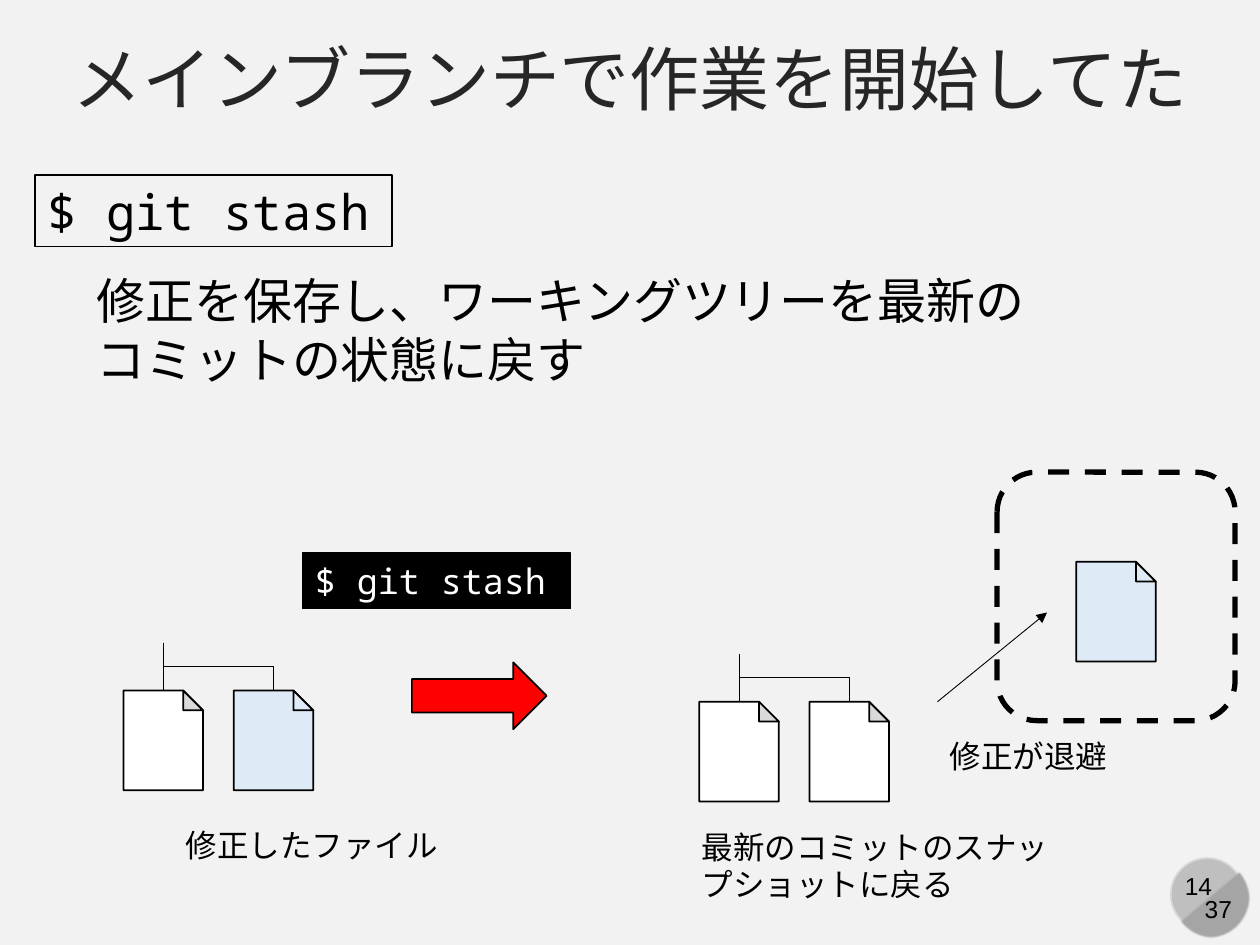
from dataclasses import dataclass

import pptx
import pptx.dml.color
import pptx.enum.dml
import pptx.enum.shapes
import pptx.enum.text
import pptx.oxml
import pptx.oxml.ns
import pptx.util
from lxml import etree

Pt = pptx.util.Pt
SHAPE = pptx.enum.shapes.MSO_SHAPE
CONNECTOR = pptx.enum.shapes.MSO_CONNECTOR
ALIGN = pptx.enum.text.PP_ALIGN
ANCHOR = pptx.enum.text.MSO_ANCHOR


@dataclass(frozen=True)
class Theme:
    background: str = "F2F2F2"
    title: str = "262626"
    ink: str = "000000"
    paper: str = "FFFFFF"
    fold: str = "D9D9D9"
    modified: str = "DEEBF7"
    arrow: str = "FF0000"
    badge: str = "BFBFBF"
    badge_shade: str = "A6A6A6"
    title_size: int = 40
    lead_size: int = 28
    command_size: int = 20
    caption_size: int = 18
    page_size: int = 14
    font: str = "Arial"
    mono: str = "Noto Sans Mono"


THEME = Theme()
FILE_WIDTH, FILE_HEIGHT, FOLD = 45.4, 57, 11.3
BRANCH_HEIGHT = 27.4


def rgb(value):
    return pptx.dml.color.RGBColor.from_string(value)


def add_effects(drawn, *effects):
    """Replace inherited effects with the given (tag, attributes) pairs."""
    effect_list = etree.SubElement(drawn.element.spPr, pptx.oxml.ns.qn("a:effectLst"))
    for tag, attributes in effects:
        etree.SubElement(effect_list, pptx.oxml.ns.qn(tag), attributes)


def add_block(slide, kind, left, top, width, height, fill=None, line=THEME.ink, weight=1):
    block = slide.shapes.add_shape(kind, Pt(left), Pt(top), Pt(width), Pt(height))
    block.shadow.inherit = False
    if fill:
        block.fill.solid()
        block.fill.fore_color.rgb = rgb(fill)
    else:
        block.fill.background()
    if line:
        block.line.color.rgb = rgb(line)
        block.line.width = Pt(weight)
    else:
        block.line.fill.background()
    return block


def write(holder, text, size, color=THEME.ink, font=THEME.font, align=ALIGN.LEFT):
    frame = holder.text_frame
    frame.text = text
    paragraph = frame.paragraphs[0]
    paragraph.alignment = align
    run_font = paragraph.runs[0].font
    run_font.size = Pt(size)
    run_font.name = font
    run_font.color.rgb = rgb(color)


def add_label(slide, text, left, top, width, height, size=THEME.caption_size,
              wrap=True, align=ALIGN.LEFT):
    label = slide.shapes.add_textbox(Pt(left), Pt(top), Pt(width), Pt(height))
    label.text_frame.word_wrap = wrap
    label.text_frame.auto_size = pptx.enum.text.MSO_AUTO_SIZE.SHAPE_TO_FIT_TEXT
    write(label, text, size, align=align)


def add_command(slide, text, left, top, width, height, size, color, fill=None):
    command = add_block(slide, SHAPE.RECTANGLE, left, top, width, height, fill, weight=0.75)
    command.text_frame.word_wrap = True
    command.text_frame.vertical_anchor = ANCHOR.TOP
    write(command, text, size, color, THEME.mono)


def add_line(slide, x1, y1, x2, y2, kind=CONNECTOR.STRAIGHT):
    line = slide.shapes.add_connector(kind, Pt(x1), Pt(y1), Pt(x2), Pt(y2))
    line.line.color.rgb = rgb(THEME.ink)
    line.line.width = Pt(0.5)
    add_effects(line)
    return line


def add_file(slide, left, top, modified=False):
    sheet_fill = THEME.modified if modified else THEME.paper
    fold_fill = THEME.modified if modified else THEME.fold
    sheet = add_block(slide, SHAPE.SNIP_1_RECTANGLE, left, top,
                      FILE_WIDTH, FILE_HEIGHT, sheet_fill)
    sheet.adjustments[0] = FOLD / FILE_WIDTH
    add_block(slide, SHAPE.RIGHT_TRIANGLE, left + FILE_WIDTH - FOLD, top,
              FOLD, FOLD, fold_fill)


def add_tree(slide, left, top, second_modified):
    """Two files hanging from one branch."""
    gap = 63
    add_file(slide, left, top)
    add_file(slide, left + gap, top, second_modified)
    stem = left + FILE_WIDTH / 2
    add_line(slide, stem, top - BRANCH_HEIGHT, stem, top)
    # The elbow is laid out upright, then turned to leave the stem downwards
    middle_x, middle_y = stem + gap / 2, top - BRANCH_HEIGHT / 2
    elbow = add_line(slide, middle_x + BRANCH_HEIGHT / 2, middle_y - gap / 2,
                     middle_x - BRANCH_HEIGHT / 2, middle_y + gap / 2, CONNECTOR.ELBOW)
    elbow.element.spPr.xfrm.set("rot", str(270 * 60000))


def add_page_badge(slide, page, total):
    add_block(slide, SHAPE.OVAL, 669, 490.3, 41.8, 41.8, THEME.badge, THEME.fold)
    add_label(slide, page, 669, 494, 31.7, 24.5, THEME.page_size, False, ALIGN.CENTER)
    shade = add_block(slide, SHAPE.CHORD, 669, 490.3, 46, 45.4, THEME.badge_shade, None)
    shade.adjustments[0] = 27
    shade.adjustments[1] = 141.42
    shade.rotation = 270
    soft_edge = pptx.oxml.ns.qn("a:effectLst")
    etree.SubElement(shade.element.spPr.find(soft_edge),
                     pptx.oxml.ns.qn("a:softEdge"), rad=str(Pt(1)))
    add_label(slide, total, 676.8, 507.6, 38.9, 24.5, THEME.page_size, align=ALIGN.CENTER)


def add_title(slide, text):
    title = slide.shapes.title
    title.left, title.top, title.width, title.height = Pt(0), Pt(15), Pt(720), Pt(59)
    title.text_frame.vertical_anchor = ANCHOR.MIDDLE
    write(title, text, THEME.title_size, THEME.title, align=ALIGN.CENTER)


def main():
    deck = pptx.Presentation()
    deck.slide_width, deck.slide_height = Pt(720), Pt(540)
    slide = deck.slides.add_slide(deck.slide_layouts[5])
    slide.background.fill.solid()
    slide.background.fill.fore_color.rgb = rgb(THEME.background)

    # Page number and heading
    add_page_badge(slide, "14", "37")
    add_title(slide, "メインブランチで作業を開始してた")

    # Command and what it does
    add_command(slide, "$ git stash", 20, 100, 204, 41, THEME.lead_size, THEME.ink)
    add_label(slide, "修正を保存し、ワーキングツリーを最新のコミットの状態に戻す",
              48, 151.2, 566.6, 75, THEME.lead_size)

    # Working tree before the stash
    add_tree(slide, 70.6, 394.6, second_modified=True)
    add_label(slide, "修正したファイル", 99, 468.7, 160, 29, wrap=False)

    # Stash step
    add_command(slide, "$ git stash", 172.8, 316, 153.4, 31.7,
                THEME.command_size, THEME.paper, THEME.ink)
    add_block(slide, SHAPE.RIGHT_ARROW, 235.4, 378.5, 77, 38.2, THEME.arrow)

    # Working tree after the stash
    add_tree(slide, 399.6, 401, second_modified=False)
    add_label(slide, "最新のコミットのスナップショットに戻る", 393.8, 469.4, 215.3, 51)

    # Stash area holding the changes
    stash = add_block(slide, SHAPE.ROUNDED_RECTANGLE, 569.8, 269.8, 136, 142, weight=3)
    stash.line.dash_style = pptx.enum.dml.MSO_LINE.DASH
    add_file(slide, 615, 321, modified=True)
    to_stash = add_line(slide, 535.7, 401, 598.3, 350)
    etree.SubElement(to_stash.line._get_or_add_ln(),
                     pptx.oxml.ns.qn("a:tailEnd"), type="triangle")
    add_label(slide, "修正が退避", 535.7, 417.6, 105, 29, wrap=False)

    deck.save("out.pptx")


if __name__ == "__main__":
    main()
